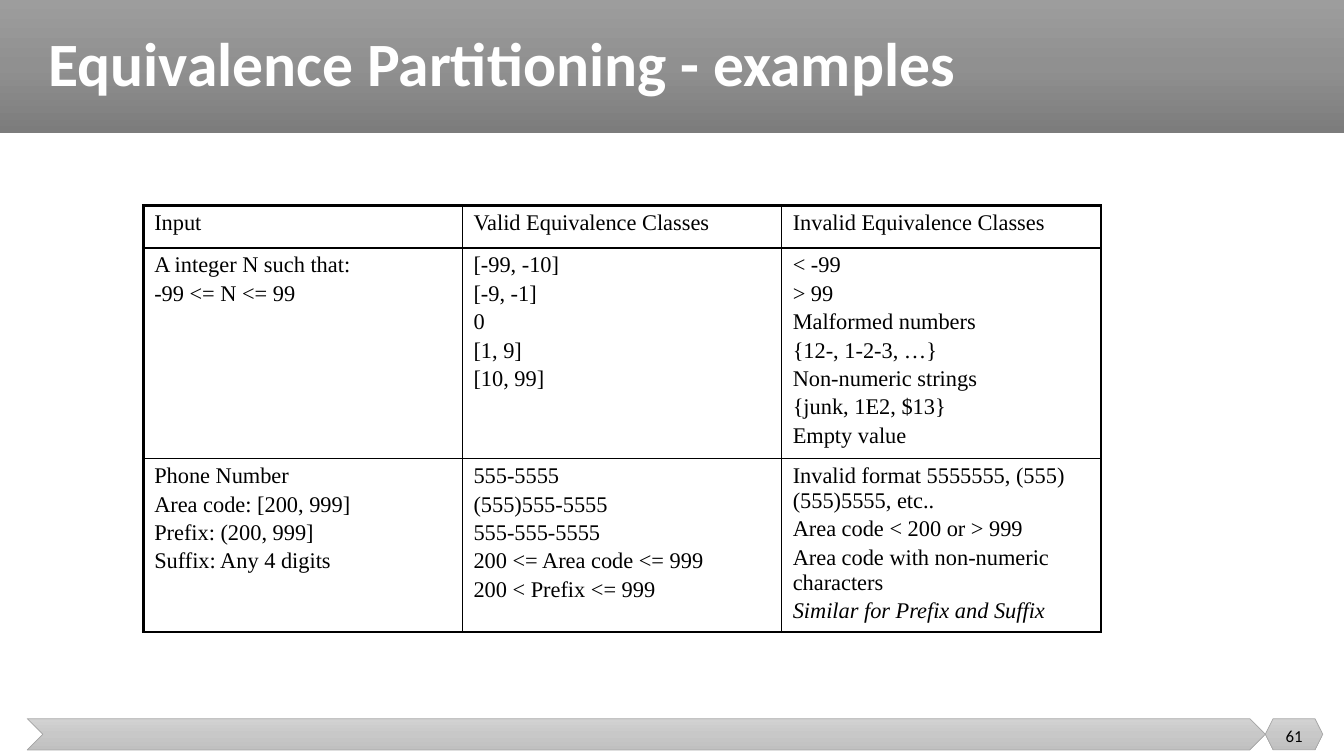
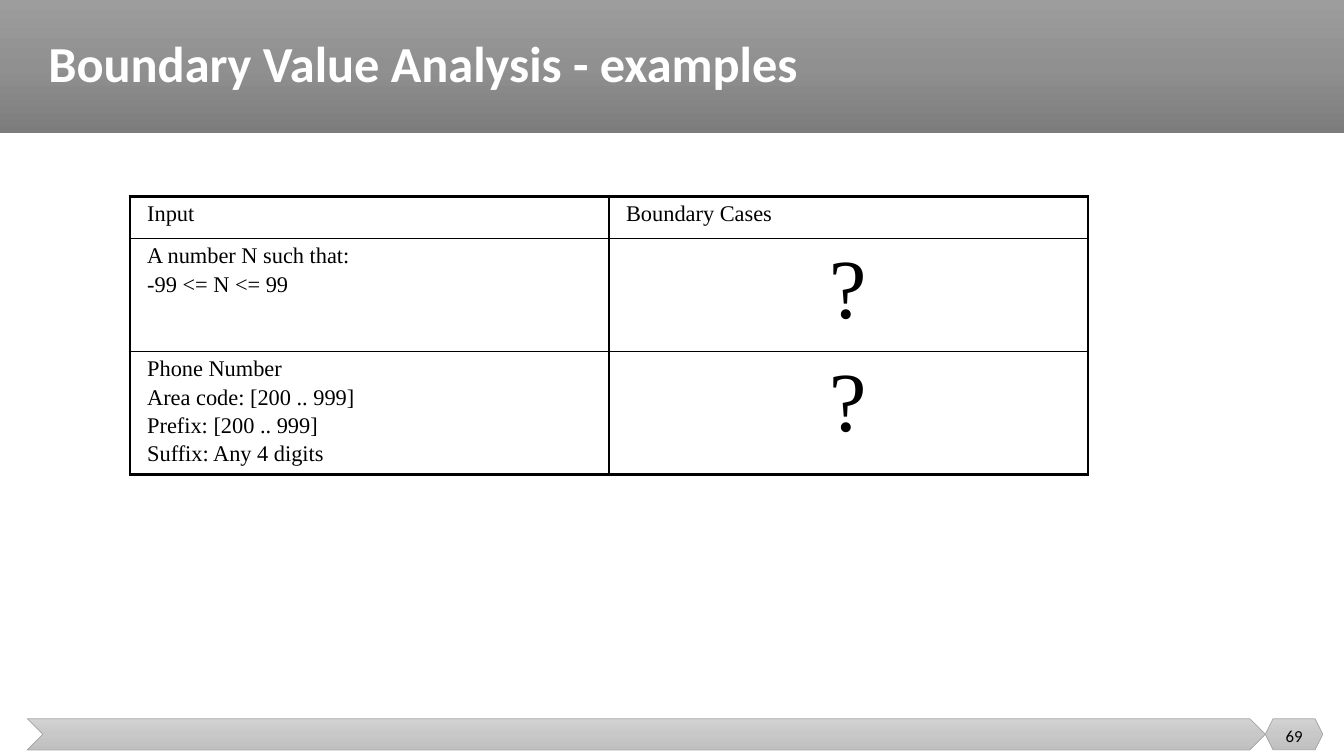
"""Build two slides of test design examples, each with one bordered table."""
from copy import deepcopy
from dataclasses import dataclass

from lxml import etree
from pptx import Presentation
from pptx.dml.color import RGBColor
from pptx.enum.shapes import MSO_SHAPE
from pptx.enum.text import MSO_ANCHOR, PP_ALIGN
from pptx.oxml.ns import qn
from pptx.util import Inches, Pt

RECTANGLE, CHEVRON, HEXAGON = MSO_SHAPE.RECTANGLE, MSO_SHAPE.CHEVRON, MSO_SHAPE.HEXAGON
MIDDLE = MSO_ANCHOR.MIDDLE
LEFT, CENTER = PP_ALIGN.LEFT, PP_ALIGN.CENTER

COLORS = {
    "white": "FFFFFF",
    "black": "000000",
    "header_top": "9D9D9D",
    "header_mid": "909090",
    "header_end": "7C7C7C",
    "footer_top": "D2D2D2",
    "footer_mid": "C8C8C8",
    "footer_end": "C0C0C0",
    "footer_line": "A5A5A5",
}
SANS, SERIF = "Calibri", "Times New Roman"
TITLE_ONLY = 5
TABLE_WIDTH = 9.5
OUTER, INNER = 2.25, 1


@dataclass(frozen=True)
class Band:
    kind: MSO_SHAPE
    box: tuple[float, float, float, float]
    tone: str
    outlined: bool = True


@dataclass(frozen=True)
class Cell:
    lines: tuple[str, ...]
    size: int = 16
    align: PP_ALIGN = LEFT
    last_italic: bool = False


@dataclass(frozen=True)
class TableSlide:
    title: str
    title_size: int
    number: int
    left: float
    top: float
    inset: float
    heights: tuple[float, ...]
    rows: tuple[tuple[Cell, ...], ...]


BANDS = (
    Band(RECTANGLE, (0, 0, 13.33, 1.32), "header", outlined=False),
    Band(CHEVRON, (0.27, 7.13, 12.28, 0.31), "footer"),
    Band(HEXAGON, (12.55, 7.13, 0.57, 0.31), "footer"),
)
QUESTION = Cell(("?",), size=60, align=CENTER)

SLIDES = (
    TableSlide(
        "Equivalence Partitioning - examples", 44, 61, 1.42, 2.04, 0.11, (0.42, 2.09, 1.72),
        (
            (
                Cell(("Input",)),
                Cell(("Valid Equivalence Classes",)),
                Cell(("Invalid Equivalence Classes",)),
            ),
            (
                Cell(("A integer N such that:", "-99 <= N <= 99")),
                Cell(("[-99, -10]", "[-9, -1]", "0", "[1, 9]", "[10, 99]")),
                Cell((
                    "< -99", "> 99", "Malformed numbers", "{12-, 1-2-3, …}",
                    "Non-numeric strings", "{junk, 1E2, $13}", "Empty value",
                )),
            ),
            (
                Cell((
                    "Phone Number", "Area code: [200, 999]",
                    "Prefix: (200, 999]", "Suffix: Any 4 digits",
                )),
                Cell((
                    "555-5555", "(555)555-5555", "555-555-5555",
                    "200 <= Area code <= 999", "200 < Prefix <= 999",
                )),
                Cell((
                    "Invalid format 5555555, (555)(555)5555, etc..",
                    "Area code < 200 or > 999",
                    "Area code with non-numeric characters",
                    "Similar for Prefix and Suffix",
                ), last_italic=True),
            ),
        ),
    ),
    TableSlide(
        "Boundary Value Analysis - examples", 36, 69, 1.29, 1.95, 0.17, (0.42, 1.12, 1.22),
        (
            (Cell(("Input",)), Cell(("Boundary Cases",))),
            (Cell(("A number N such that:", "-99 <= N <= 99")), QUESTION),
            (
                Cell((
                    "Phone Number", "Area code: [200 .. 999]",
                    "Prefix: [200 .. 999]", "Suffix: Any 4 digits",
                )),
                QUESTION,
            ),
        ),
    ),
)


def rgb(name: str) -> RGBColor:
    return RGBColor.from_string(COLORS[name])


def set_font(font, name: str, size: float, color: str, bold: bool = False) -> None:
    font.name, font.size, font.bold = name, Pt(size), bold
    font.color.rgb = rgb(color)


def fill_gradient(sp, tone: str) -> None:
    sp.fill.gradient()
    sp.fill.gradient_angle = 270
    stop_list = sp.element.find(".//" + qn("a:gsLst"))
    stop_list.append(deepcopy(stop_list[-1]))
    for stop, position, part in zip(sp.fill.gradient_stops, (0, 0.5, 1), ("top", "mid", "end")):
        stop.position = position
        stop.color.rgb = rgb(f"{tone}_{part}")


def add_bands(layout, slide) -> None:
    for i, band in enumerate(BANDS):
        sp = slide.shapes.add_shape(band.kind, *map(Inches, band.box))
        sp.shadow.inherit = False
        fill_gradient(sp, band.tone)
        if band.outlined:
            sp.line.color.rgb = rgb("footer_line")
            sp.line.width = Pt(0.5)
        else:
            sp.line.fill.background()
        sp.element.find(".//" + qn("p:cNvPr")).set("id", str(100 + i))
        layout.shapes.element.insert(2 + i, sp.element)


def add_title(slide, text: str, size: int) -> None:
    sp = slide.shapes.title
    sp.left, sp.top, sp.width, sp.height = map(Inches, (0.38, 0, 12.74, 1.32))
    tf = sp.text_frame
    tf.text = text
    tf.vertical_anchor = MIDDLE
    p = tf.paragraphs[0]
    p.alignment, p.line_spacing = LEFT, 0.9
    set_font(p.runs[0].font, SANS, size, "white", bold=True)


def add_number(slide, number: int) -> None:
    tf = slide.shapes.add_textbox(*map(Inches, (12.55, 7.1, 0.57, 0.4))).text_frame
    tf.word_wrap = True
    tf.vertical_anchor = MIDDLE
    tf.text = str(number)
    p = tf.paragraphs[0]
    p.alignment = CENTER
    set_font(p.runs[0].font, SANS, 12, "black")


def set_borders(cell, widths: dict[str, float]) -> None:
    tc_pr = cell._tc.get_or_add_tcPr()
    for side, width in widths.items():
        ln = etree.SubElement(tc_pr, qn(f"a:ln{side}"), w=str(Pt(width)))
        fill = etree.SubElement(ln, qn("a:solidFill"))
        etree.SubElement(fill, qn("a:srgbClr"), val=COLORS["black"])


def write_cell(cell, content: Cell, inset: float) -> None:
    cell.margin_left = cell.margin_right = Inches(inset)
    cell.margin_top = cell.margin_bottom = Inches(0.05)
    tf = cell.text_frame
    tf.text = "\n".join(content.lines)
    for i, p in enumerate(tf.paragraphs):
        p.alignment = content.align
        if i:
            p.space_before = Pt(2.5)
        set_font(p.runs[0].font, SERIF, content.size, "black")
    if content.last_italic:
        tf.paragraphs[-1].runs[0].font.italic = True


def add_grid(slide, data: TableSlide) -> None:
    n_rows, n_cols = len(data.rows), len(data.rows[0])
    box = (data.left, data.top, TABLE_WIDTH, sum(data.heights))
    table = slide.shapes.add_table(n_rows, n_cols, *map(Inches, box)).table
    table.first_row = table.horz_banding = False
    for row, height in zip(table.rows, data.heights):
        row.height = Inches(height)
    for r, contents in enumerate(data.rows):
        for c, content in enumerate(contents):
            cell = table.cell(r, c)
            write_cell(cell, content, data.inset)
            set_borders(cell, {
                "L": OUTER if c == 0 else INNER,
                "R": OUTER if c == n_cols - 1 else INNER,
                "T": OUTER if r == 0 else INNER,
                "B": OUTER if r == n_rows - 1 else INNER,
            })
            cell.fill.background()


def main() -> None:
    prs = Presentation()
    prs.slide_width, prs.slide_height = Inches(13.33), Inches(7.5)
    layout = prs.slide_layouts[TITLE_ONLY]
    for i, data in enumerate(SLIDES):
        slide = prs.slides.add_slide(layout)
        if i == 0:
            add_bands(layout, slide)
        add_title(slide, data.title, data.title_size)
        add_grid(slide, data)
        add_number(slide, data.number)
    prs.save("out.pptx")


if __name__ == "__main__":
    main()
